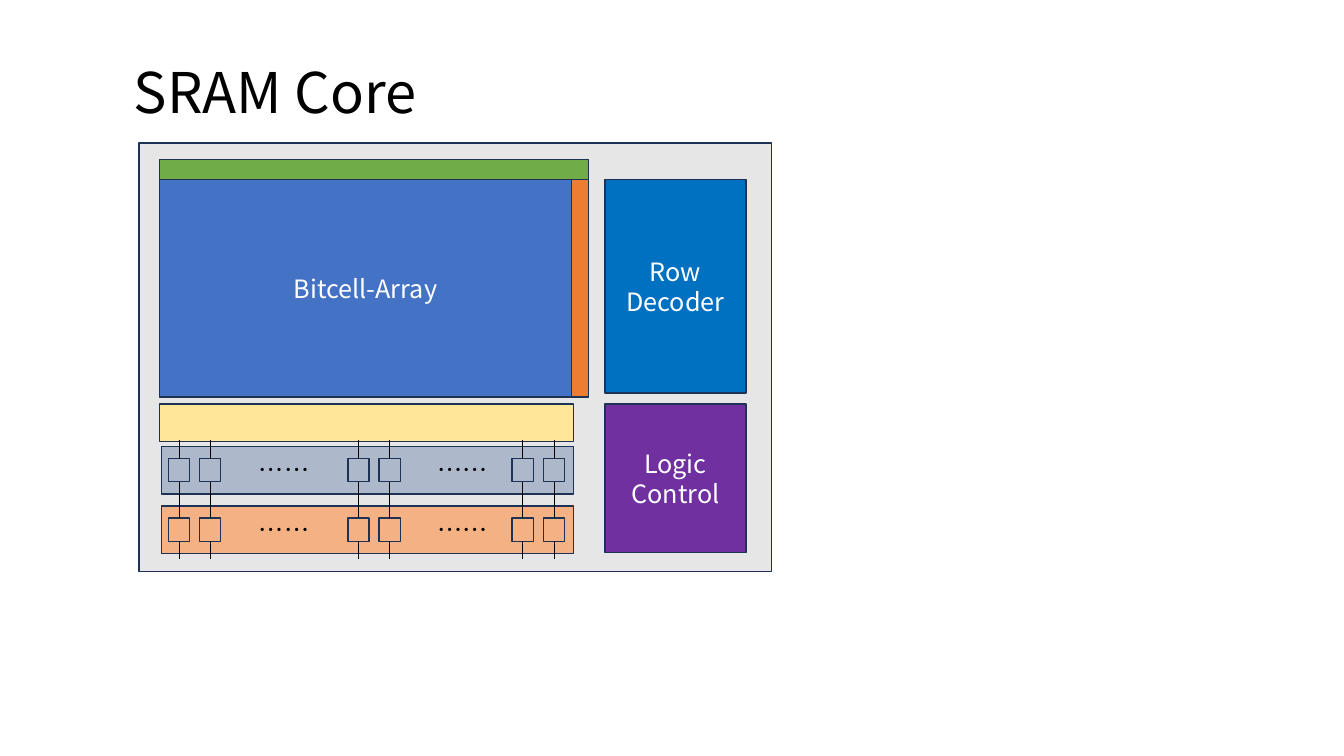
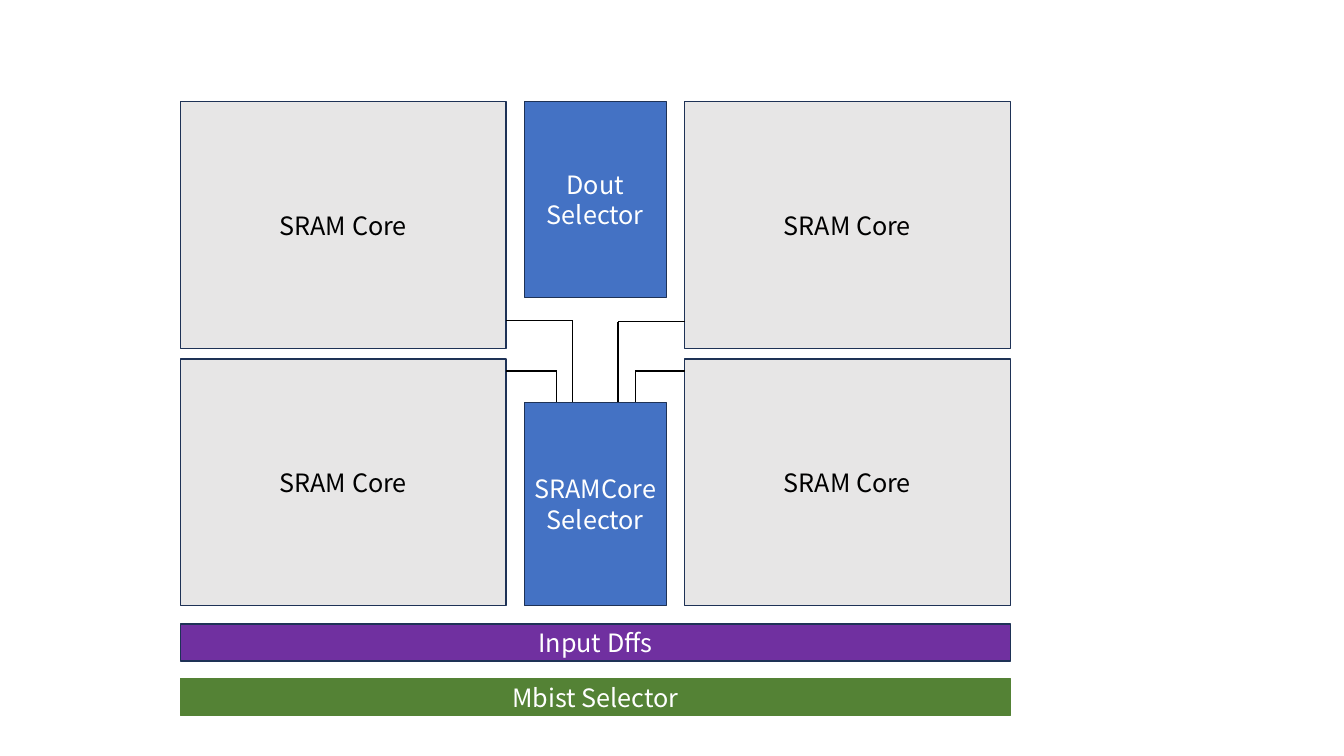
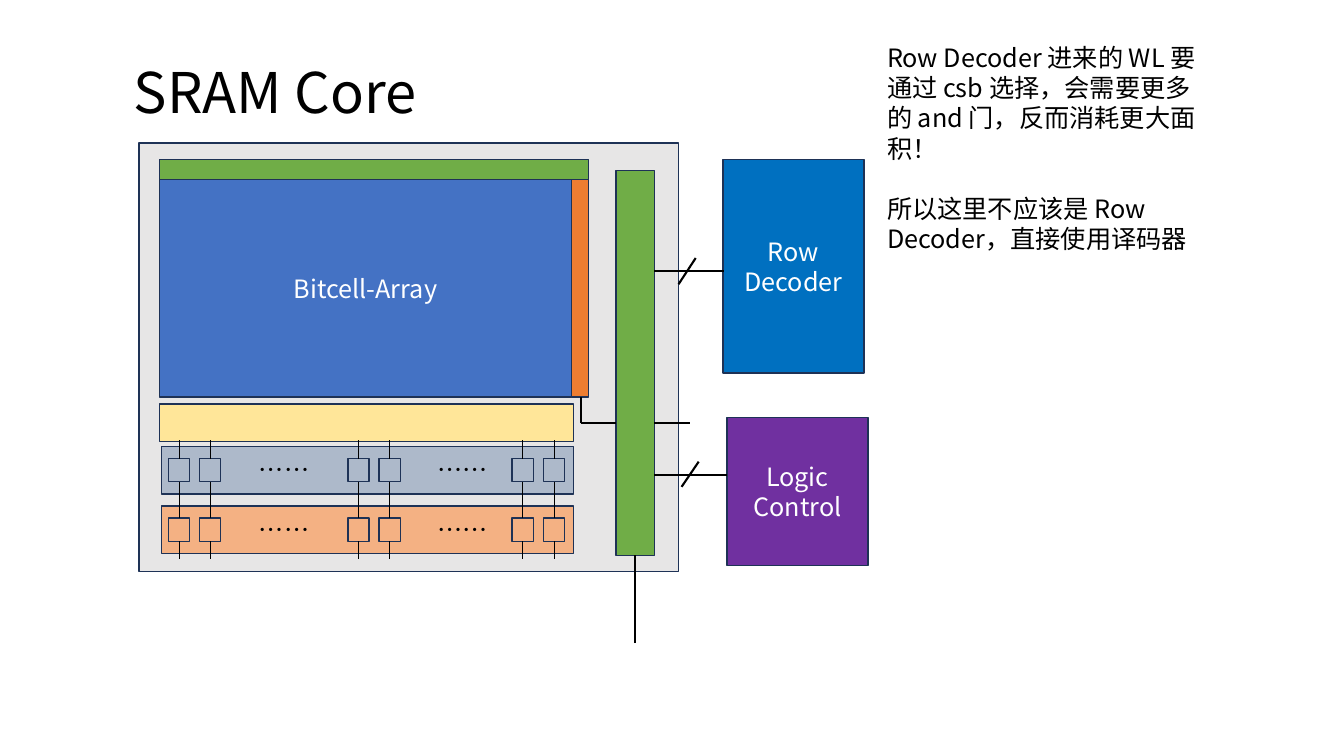
from lxml import etree
from pptx import Presentation
from pptx.dml.color import RGBColor
from pptx.enum.shapes import MSO_CONNECTOR, MSO_SHAPE
from pptx.enum.text import MSO_ANCHOR, MSO_AUTO_SIZE, PP_ALIGN
from pptx.oxml.ns import qn
from pptx.util import Inches, Pt

RECTANGLE = MSO_SHAPE.RECTANGLE
STRAIGHT = MSO_CONNECTOR.STRAIGHT
MIDDLE, TOP = MSO_ANCHOR.MIDDLE, MSO_ANCHOR.TOP
CENTER, LEFT = PP_ALIGN.CENTER, PP_ALIGN.LEFT
GROW = MSO_AUTO_SIZE.SHAPE_TO_FIT_TEXT

FONT = "Noto Sans CJK SC"
BLACK = RGBColor(0x00, 0x00, 0x00)
WHITE = RGBColor(0xFF, 0xFF, 0xFF)
OUTLINE = RGBColor(0x1E, 0x32, 0x56)
GRAY = RGBColor(0xE7, 0xE6, 0xE6)
BLUE = RGBColor(0x44, 0x72, 0xC4)
BRIGHT_BLUE = RGBColor(0x00, 0x70, 0xC0)
ORANGE = RGBColor(0xED, 0x7D, 0x31)
GREEN = RGBColor(0x70, 0xAD, 0x47)
DARK_GREEN = RGBColor(0x54, 0x82, 0x35)
YELLOW = RGBColor(0xFF, 0xE6, 0x99)
PURPLE = RGBColor(0x70, 0x30, 0xA0)
SLATE = RGBColor(0xAD, 0xB9, 0xCA)
PEACH = RGBColor(0xF4, 0xB1, 0x83)

# Core diagram, shared by the first and third slides (lengths in inches)
TITLE = "SRAM Core"
TITLE_BOX = (1.23, 0.52, 4.16, 0.77)
CORE_LEFT, CORE_TOP, CORE_HEIGHT = 1.38, 1.42, 4.25
ARRAY_BLOCKS = [
    ((1.58, 1.78, 4.09, 2.16), BLUE, ["Bitcell-Array"]),
    ((5.67, 1.78, 0.17, 2.16), ORANGE, []),
    ((1.58, 1.58, 4.26, 0.2), GREEN, []),
    ((1.58, 4.01, 4.11, 0.37), YELLOW, []),
]
CELL_ROW_COLORS = [SLATE, PEACH]
ROW_LEFT, ROW_TOP, ROW_WIDTH, ROW_HEIGHT, ROW_PITCH = 1.6, 4.43, 4.09, 0.47, 0.59
CELL_PAIR_LEFTS = [1.67, 3.45, 5.08]
CELL_PITCH, CELL_WIDTH, CELL_HEIGHT, CELL_INSET = 0.31, 0.21, 0.23, 0.12
STEM_LENGTH = 0.18
ELLIPSIS_LEFTS = [2.47, 4.24]
DECODER_SIZE, LOGIC_SIZE = (1.4, 2.12), (1.4, 1.47)

# Bank diagram
BANK_LEFTS, BANK_TOPS, BANK_SIZE = [1.79, 6.79], [1.01, 3.56], (3.23, 2.45)
BANK_BLOCKS = [
    ((1.79, 6.19, 8.23, 0.37), PURPLE, ["Input Dffs"], OUTLINE),
    ((1.79, 6.73, 8.23, 0.37), DARK_GREEN, ["Mbist Selector"], DARK_GREEN),
    ((5.2, 3.99, 1.41, 2.02), BLUE, ["SRAMCore", "Selector"], OUTLINE),
    ((5.2, 1.01, 1.41, 1.94), BLUE, ["Dout", "Selector"], OUTLINE),
]
# Each select wire runs from a bank edge to a column, then down to the selector
SELECT_WIRES = [(5.02, 5.52, 3.68), (5.02, 5.68, 3.18), (6.79, 6.3, 3.68), (6.79, 6.13, 3.19)]
SELECTOR_TOP = 3.99

# Spine added on the third slide
SPINE = (6.11, 1.69, 0.38, 3.82)
SPINE_WIRES = [
    ((6.3, 6.38), (6.3, 5.51)),
    ((6.49, 2.69), (7.18, 2.69)),
    ((6.73, 2.82), (6.9, 2.56)),
    ((6.49, 4.71), (7.21, 4.71)),
    ((6.76, 4.83), (6.93, 4.58)),
    ((5.76, 4.2), (5.76, 3.94)),
    ((6.11, 4.2), (5.76, 4.2)),
    ((6.84, 4.2), (6.49, 4.2)),
]
NOTE_BOX = (8.7, 0.37, 3.43, 2.22)
NOTE = [
    "Row Decoder 进来的 WL 要通过 csb 选择，会需要更多的 and 门，反而消耗更大面积！",
    "所以这里不应该是 Row Decoder，直接使用译码器",
]


def write_text(shape, lines, color, size=18, alignment=CENTER, anchor=MIDDLE, gap=0):
    frame = shape.text_frame
    frame.word_wrap = True
    frame.vertical_anchor = anchor
    for index, line in enumerate(lines):
        paragraph = frame.paragraphs[0] if index == 0 else frame.add_paragraph()
        paragraph.alignment = alignment
        if index and gap:
            paragraph.space_before = Pt(gap)
        run = paragraph.add_run()
        run.text = line
        for name, value in {"name": FONT, "size": Pt(size)}.items():
            setattr(run.font, name, value)
        run.font.color.rgb = color
        etree.SubElement(run.font._element, qn("a:ea"), typeface=FONT)


def add_block(slide, box, fill, lines=(), text_color=WHITE, outline=OUTLINE):
    shape = slide.shapes.add_shape(RECTANGLE, *map(Inches, box))
    shape.shadow.inherit = False
    shape.fill.solid()
    shape.fill.fore_color.rgb = fill
    if outline is None:
        shape.line.fill.background()
    else:
        shape.line.color.rgb = outline
        shape.line.width = Pt(1)
    write_text(shape, lines, text_color)
    return shape


def add_wire(slide, start, end, width):
    wire = slide.shapes.add_connector(STRAIGHT, *map(Inches, (*start, *end)))
    wire.line.color.rgb = BLACK
    wire.line.width = Pt(width)
    etree.SubElement(wire._element.spPr, qn("a:effectLst"))


def add_text(slide, box, lines, size=18, gap=0):
    shape = slide.shapes.add_textbox(*map(Inches, box))
    write_text(shape, lines, BLACK, size, LEFT, TOP, gap)
    shape.text_frame.auto_size = GROW


def add_cell_row(slide, top, color):
    """Draw a band of paired cells with stems above and below, and dots between pairs."""
    add_block(slide, (ROW_LEFT, top, ROW_WIDTH, ROW_HEIGHT), color)
    cell_top = top + CELL_INSET
    cell_bottom = cell_top + CELL_HEIGHT
    for pair_left in CELL_PAIR_LEFTS:
        for left in (pair_left, pair_left + CELL_PITCH):
            add_block(slide, (left, cell_top, CELL_WIDTH, CELL_HEIGHT), color)
            middle = left + CELL_WIDTH / 2
            for start in (cell_top - STEM_LENGTH, cell_bottom):
                add_wire(slide, (middle, start), (middle, start + STEM_LENGTH), 0.5)
    for left in ELLIPSIS_LEFTS:
        add_block(slide, (left, top + 0.03, 0.77, 0.4), color, outline=None)
        add_text(slide, (left, top + 0.03, 0.77, 0.4), ["……"])


def add_core(slide, width, decoder_at, logic_at):
    """Draw the titled core; the two control blocks sit at the given corners."""
    add_block(slide, (CORE_LEFT, CORE_TOP, width, CORE_HEIGHT), GRAY)
    for box, fill, lines in ARRAY_BLOCKS:
        add_block(slide, box, fill, lines)
    for index, color in enumerate(CELL_ROW_COLORS):
        add_cell_row(slide, ROW_TOP + index * ROW_PITCH, color)
    add_block(slide, (*logic_at, *LOGIC_SIZE), PURPLE, ["Logic", "Control"])
    add_block(slide, (*decoder_at, *DECODER_SIZE), BRIGHT_BLUE, ["Row", "Decoder"])
    add_text(slide, TITLE_BOX, [TITLE], size=40)


def add_banks(slide):
    for top in BANK_TOPS:
        for left in BANK_LEFTS:
            add_block(slide, (left, top, *BANK_SIZE), GRAY, [TITLE], BLACK)
    for box, fill, lines, outline in BANK_BLOCKS:
        add_block(slide, box, fill, lines, outline=outline)
    for edge, column, level in SELECT_WIRES:
        add_wire(slide, (edge, level), (column, level), 1)
        add_wire(slide, (column, level), (column, SELECTOR_TOP), 1)


def add_spine(slide):
    add_block(slide, SPINE, GREEN)
    for start, end in SPINE_WIRES:
        add_wire(slide, start, end, 1.5)


def main():
    presentation = Presentation()
    presentation.slide_width = Inches(13.33)
    presentation.slide_height = Inches(7.5)
    blank = presentation.slide_layouts[6]
    core, banks, spine = (presentation.slides.add_slide(blank) for _ in range(3))

    add_core(core, 6.27, decoder_at=(6, 1.78), logic_at=(6, 4.01))
    add_banks(banks)
    add_core(spine, 5.35, decoder_at=(7.17, 1.58), logic_at=(7.21, 4.14))
    add_spine(spine)
    add_text(spine, NOTE_BOX, NOTE, gap=21.6)

    presentation.save("out.pptx")


if __name__ == "__main__":
    main()
